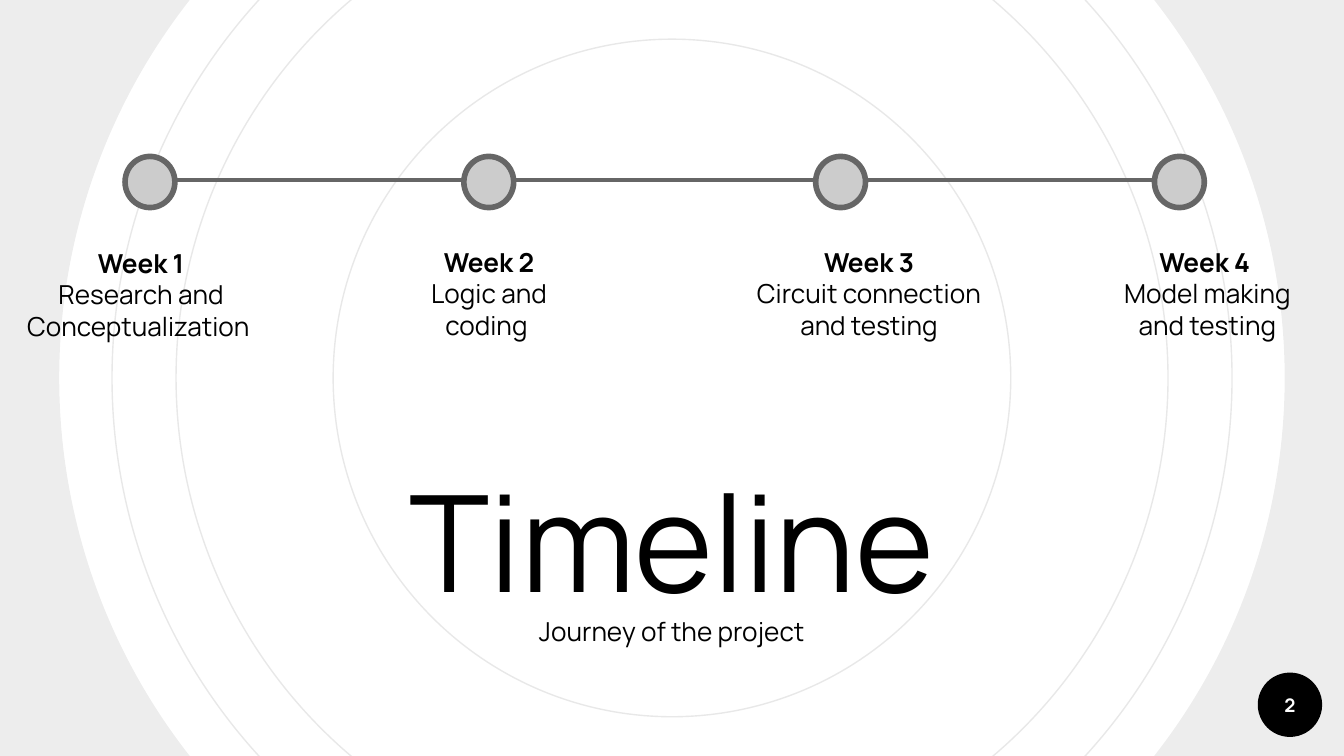
from lxml import etree
from pptx import Presentation
from pptx import util as u
from pptx.dml.color import RGBColor
from pptx.enum import shapes, text
from pptx.oxml.ns import qn

Pt = u.Pt
BLACK = RGBColor(0x00, 0x00, 0x00)
WHITE = RGBColor(0xFF, 0xFF, 0xFF)
RING_GRAY = RGBColor(0xE8, 0xE8, 0xE8)
TRACK_GRAY = RGBColor(0x66, 0x66, 0x66)
DOT_GRAY = RGBColor(0xCC, 0xCC, 0xCC)

FONT = "Manrope"
WIDTH, HEIGHT = 720, 405
DOT_WIDTH, DOT_HEIGHT = 26.7, 27.4
DOT_TOP, TRACK_Y = 83.8, 96.4
BADGE = (673.8, 360.3, 34.5, 34.5)

# Dot left, label (left, top, width), week, task
WEEKS = [
    (67, (0, 129, 151.2), "Week 1", "Research and Conceptualization "),
    (248.5, (216, 128.4, 92), "Week 2", "Logic and coding "),
    (437, (390, 128.4, 151.2), "Week 3", "Circuit connection and testing"),
    (618.5, (586, 128.4, 121.7), "Week 4 ", "Model making and testing"),
]


def add_figure(slide, kind, box, fill=None, line=None, line_width=0.75):
    figure = slide.shapes.add_shape(kind, *(Pt(side) for side in box))
    figure.shadow.inherit = False
    if fill is None:
        figure.fill.background()
    else:
        figure.fill.solid()
        figure.fill.fore_color.rgb = fill
    if line is None:
        figure.line.fill.background()
    else:
        figure.line.color.rgb = line
        figure.line.width = Pt(line_width)
    return figure


def add_oval(slide, box, **style):
    return add_figure(slide, shapes.MSO_SHAPE.OVAL, box, **style)


def centred_box(diameter):
    return ((WIDTH - diameter) / 2, (HEIGHT - diameter) / 2, diameter, diameter)


def set_opacity(figure, percent):
    color = figure.fill._xPr.find(qn("a:solidFill"))[0]
    etree.SubElement(color, qn("a:alpha"), val=str(percent * 1000))


def add_text(slide, box, lines, size=14, color=BLACK, bold_first=False,
             anchor=text.MSO_ANCHOR.TOP, inset=7.2, space_before=0):
    frame = slide.shapes.add_textbox(*(Pt(side) for side in box)).text_frame
    frame.word_wrap = True
    frame.vertical_anchor = anchor
    frame.margin_left = frame.margin_right = Pt(7.2)
    frame.margin_top = frame.margin_bottom = Pt(inset)
    for index, line in enumerate(lines):
        paragraph = frame.paragraphs[0] if index == 0 else frame.add_paragraph()
        paragraph.alignment = text.PP_ALIGN.CENTER
        paragraph.space_before = Pt(space_before)
        run = paragraph.add_run()
        run.text = line
        run.font.name = FONT
        run.font.size = Pt(size)
        run.font.bold = bold_first and index == 0
        run.font.color.rgb = color


def add_backdrop(slide):
    for diameter in (600, 531.4, 363):
        add_oval(slide, centred_box(diameter), line=RING_GRAY)
    halo = add_figure(slide, shapes.MSO_SHAPE.DONUT, centred_box(831), fill=BLACK)
    halo.adjustments[0] = 0.105
    set_opacity(halo, 7)


def add_track(slide):
    track = slide.shapes.add_connector(
        shapes.MSO_CONNECTOR.STRAIGHT, Pt(73.8), Pt(TRACK_Y), Pt(641.3), Pt(TRACK_Y))
    track.line.color.rgb = TRACK_GRAY
    track.line.width = Pt(2.25)
    etree.SubElement(track._element.spPr, qn("a:effectLst"))


def main():
    deck = Presentation()
    deck.slide_width, deck.slide_height = Pt(WIDTH), Pt(HEIGHT)
    slide = deck.slides.add_slide(deck.slide_layouts[6])

    # Rings and page number badge
    add_backdrop(slide)
    add_oval(slide, BADGE, fill=BLACK)

    # Title, subtitle and page number
    add_text(slide, (165, 247.7, 390, 91.4), ["Timeline"], size=72,
             anchor=text.MSO_ANCHOR.BOTTOM)
    add_text(slide, (165, 322.6, 390, 62), ["Journey of the project"], space_before=6)
    add_text(slide, BADGE, ["2"], size=10, color=WHITE, bold_first=True,
             anchor=text.MSO_ANCHOR.MIDDLE)

    # Timeline
    add_track(slide)
    for dot_left, (left, top, width), week, task in WEEKS:
        add_oval(slide, (dot_left, DOT_TOP, DOT_WIDTH, DOT_HEIGHT),
                 fill=DOT_GRAY, line=TRACK_GRAY, line_width=3)
        add_text(slide, (left, top, width, 57.6), [week, task],
                 bold_first=True, inset=3.6)

    deck.save("out.pptx")


if __name__ == "__main__":
    main()
